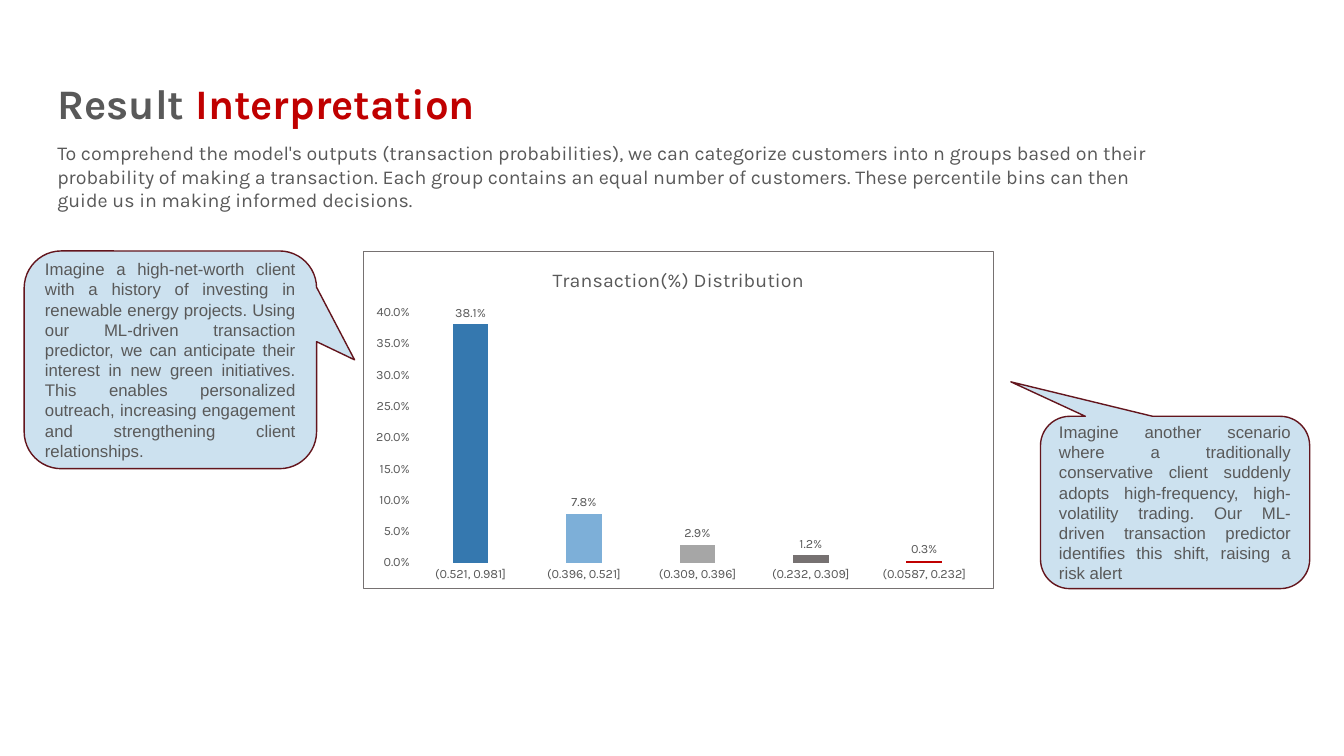
from dataclasses import dataclass

from pptx import Presentation
from pptx import util as u
from pptx.chart import data as cd
from pptx.dml.color import RGBColor
from pptx.enum import chart as ce
from pptx.enum import shapes as es
from pptx.enum import text as et
from pptx.oxml import parse_xml
from pptx.oxml.ns import nsdecls

PX = 9144
HUES = {
    "text": "595959",
    "red": "C00000",
    "pale": "CCE1EF",
    "wine": "63151D",
    "blue": "3578AF",
    "sky": "7DAFD8",
    "grey": "A6A6A6",
    "slate": "767171",
    "white": "FFFFFF",
}


@dataclass
class Box:
    left: int
    top: int
    width: int
    height: int

    def emu(self) -> tuple[int, ...]:
        return tuple(n * PX for n in (self.left, self.top, self.width, self.height))


@dataclass
class Callout:
    box: Box
    tail: tuple[float, float]
    text: str


@dataclass
class Bar:
    label: str
    share: float
    hue: str


INTRO = (
    "To comprehend the model's outputs (transaction probabilities), we can categorize "
    "customers into n groups based on their probability of making a transaction. Each group "
    "contains an equal number of customers. These percentile bins can then guide us in making "
    "informed decisions."
)
CALLOUTS = [
    Callout(
        Box(24, 249, 290, 216),
        (0.63, 0.0),
        "Imagine a high-net-worth client with a history of investing in renewable energy "
        "projects. Using our ML-driven transaction predictor, we can anticipate their interest "
        "in new green initiatives. This enables personalized outreach, increasing engagement "
        "and strengthening client relationships.",
    ),
    Callout(
        Box(1032, 413, 267, 171),
        (-0.61, -0.7),
        "Imagine another scenario where a traditionally conservative client suddenly adopts "
        "high-frequency, high-volatility trading. Our ML-driven transaction predictor "
        "identifies this shift, raising a risk alert",
    ),
]
BARS = [
    Bar("(0.521, 0.981]", 0.381, "blue"),
    Bar("(0.396, 0.521]", 0.078, "sky"),
    Bar("(0.309, 0.396]", 0.029, "grey"),
    Bar("(0.232, 0.309]", 0.012, "slate"),
    Bar("(0.0587, 0.232]", 0.003, "red"),
]


def rgb(hue: str) -> RGBColor:
    return RGBColor.from_string(HUES[hue])


def style(font, size: float, hue: str = "text", face: str = "Karla", bold: bool = False) -> None:
    font.size = u.Pt(size)
    font.name = face
    font.bold = bold
    font.color.rgb = rgb(hue)


def write(para, words: str, align=et.PP_ALIGN.LEFT, **form) -> None:
    para.alignment = align
    run = para.add_run()
    run.text = words
    style(run.font, **form)


def place(shape, box: Box) -> None:
    shape.left, shape.top, shape.width, shape.height = box.emu()


def add_title(slide) -> None:
    title = slide.shapes.title
    place(title, Box(47, 78, 1158, 71))
    frame = title.text_frame
    frame.vertical_anchor = et.MSO_ANCHOR.TOP
    frame.auto_size = et.MSO_AUTO_SIZE.NONE
    para = frame.paragraphs[0]
    para.line_spacing = 0.9
    para.space_before = u.Pt(10)
    write(para, "Result", size=30, bold=True)
    write(para, " Interpretation", size=30, hue="red", bold=True)


def add_intro(slide) -> None:
    frame = slide.shapes.add_textbox(*Box(47, 135, 1137, 81).emu()).text_frame
    frame.word_wrap = True
    frame.auto_size = et.MSO_AUTO_SIZE.SHAPE_TO_FIT_TEXT
    write(frame.paragraphs[0], INTRO, size=14)


def add_callout(slide, call: Callout) -> None:
    kind = es.MSO_SHAPE.ROUNDED_RECTANGULAR_CALLOUT
    shape = slide.shapes.add_shape(kind, *call.box.emu())
    for i, value in enumerate((*call.tail, 0.17)):
        shape.adjustments[i] = value
    shape.shadow.inherit = False
    shape.fill.solid()
    shape.fill.fore_color.rgb = rgb("pale")
    shape.line.color.rgb = rgb("wine")
    shape.line.width = u.Pt(1)
    frame = shape.text_frame
    frame.word_wrap = True
    frame.vertical_anchor = et.MSO_ANCHOR.MIDDLE
    write(frame.paragraphs[0], call.text, et.PP_ALIGN.JUSTIFY, size=12, face="Arial")


def add_border(chart) -> None:
    edge = parse_xml(
        f'<c:spPr {nsdecls("c", "a")}><a:noFill/><a:ln w="9525"><a:solidFill>'
        f'<a:srgbClr val="{HUES["slate"]}"/></a:solidFill></a:ln></c:spPr>'
    )
    chart.element.find("{*}chart").addnext(edge)


def format_axes(chart) -> None:
    for axis in (chart.category_axis, chart.value_axis):
        axis.major_tick_mark = axis.minor_tick_mark = ce.XL_TICK_MARK.NONE
        axis.has_major_gridlines = False
        style(axis.tick_labels.font, 9)
    line = chart.category_axis.format.line
    line.color.rgb = rgb("white")
    line.width = u.Pt(0.75)
    values = chart.value_axis
    values.format.line.fill.background()
    values.minimum_scale, values.maximum_scale, values.major_unit = 0, 0.4, 0.05
    values.tick_labels.number_format = "0.0%"
    values.tick_labels.number_format_is_linked = False


def add_chart(slide) -> None:
    data = cd.CategoryChartData(number_format="0.0%")
    data.categories = [bar.label for bar in BARS]
    data.add_series("Series 1", [bar.share for bar in BARS])
    kind = ce.XL_CHART_TYPE.COLUMN_CLUSTERED
    chart = slide.shapes.add_chart(kind, *Box(360, 249, 626, 335).emu(), data).chart
    style(chart.font, 10)
    chart.has_legend = False
    chart.has_title = True
    write(chart.chart_title.text_frame.paragraphs[0], "Transaction(%) Distribution",
          et.PP_ALIGN.CENTER, size=14)
    chart.chart_title.include_in_layout = False
    format_axes(chart)
    plot = chart.plots[0]
    plot.gap_width, plot.overlap, plot.vary_by_categories = 219, -27, False
    plot.has_data_labels = True
    labels = plot.data_labels
    labels.show_value = True
    labels.position = ce.XL_LABEL_POSITION.OUTSIDE_END
    labels.number_format = "0.0%"
    labels.number_format_is_linked = False
    style(labels.font, 9)
    for i, bar in enumerate(BARS):
        fill = plot.series[0].points[i].format.fill
        fill.solid()
        fill.fore_color.rgb = rgb(bar.hue)
    add_border(chart)


def main() -> None:
    deck = Presentation()
    deck.slide_width, deck.slide_height = 1333 * PX, 750 * PX
    slide = deck.slides.add_slide(deck.slide_layouts[5])
    add_title(slide)
    add_chart(slide)
    add_intro(slide)
    for call in CALLOUTS:
        add_callout(slide, call)
    deck.save("out.pptx")


if __name__ == "__main__":
    main()
